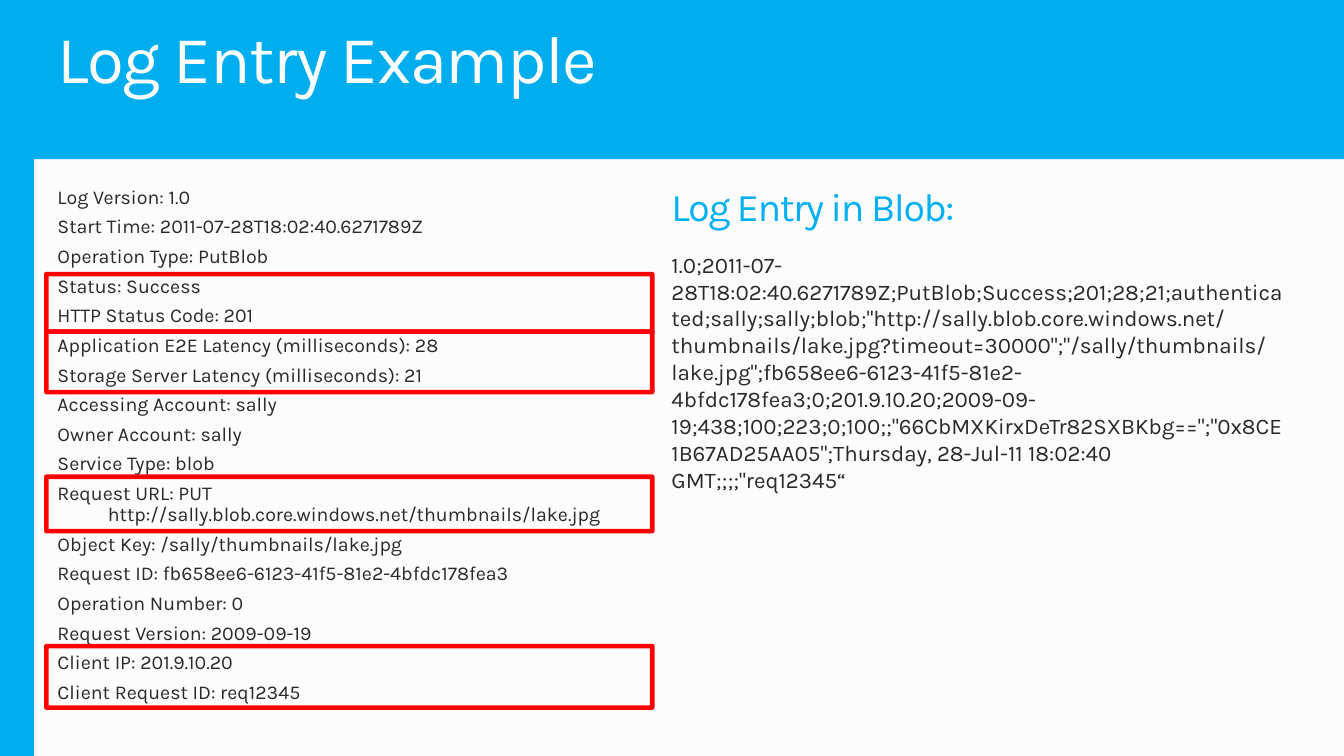
from lxml import etree
from pptx import Presentation
from pptx.dml.color import RGBColor
from pptx.enum.shapes import MSO_SHAPE
from pptx.enum.text import MSO_ANCHOR, MSO_AUTO_SIZE
from pptx.oxml.ns import qn
from pptx.util import Inches, Pt

RECTANGLE = MSO_SHAPE.RECTANGLE
TOP = MSO_ANCHOR.TOP
GROW = MSO_AUTO_SIZE.SHAPE_TO_FIT_TEXT

BACKGROUND = RGBColor(0xFC, 0xFC, 0xFC)
BAND = RGBColor(0x00, 0xAE, 0xEF)
HEADING = RGBColor(0x00, 0xB0, 0xF0)
WHITE = RGBColor(0xFF, 0xFF, 0xFF)
DARK = RGBColor(0x29, 0x29, 0x29)
RED = RGBColor(0xFF, 0x00, 0x00)
FONT = "Karla"

TITLE = "Log Entry Example"
LOG_FIELDS = [
    "Log Version: 1.0",
    "Start Time: 2011-07-28T18:02:40.6271789Z",
    "Operation Type: PutBlob",
    "Status: Success",
    "HTTP Status Code: 201",
    "Application E2E Latency (milliseconds): 28",
    "Storage Server Latency (milliseconds): 21",
    "Accessing Account: sally",
    "Owner Account: sally",
    "Service Type: blob",
    "Request URL: PUT http://sally.blob.core.windows.net/thumbnails/lake.jpg",
    "Object Key: /sally/thumbnails/lake.jpg",
    "Request ID: fb658ee6-6123-41f5-81e2-4bfdc178fea3",
    "Operation Number: 0",
    "Request Version: 2009-09-19",
    "Client IP: 201.9.10.20",
    "Client Request ID: req12345",
]
BLOB_HEADING = "Log Entry in Blob:"
BLOB_ENTRY = (
    '1.0;2011-07-28T18:02:40.6271789Z;PutBlob;Success;201;28;21;authenticated;'
    'sally;sally;blob;"http://sally.blob.core.windows.net/thumbnails/lake.jpg'
    '?timeout=30000";"/sally/thumbnails/lake.jpg";'
    'fb658ee6-6123-41f5-81e2-4bfdc178fea3;0;201.9.10.20;2009-09-19;438;100;223;'
    '0;100;;"66CbMXKirxDeTr82SXBKbg==";"0x8CE1B67AD25AA05";'
    'Thursday, 28-Jul-11 18:02:40 GMT;;;;"req12345“'
)

WIDTH, HEIGHT = 13.33, 7.5
BANDS = [(0.34, HEIGHT), (WIDTH, 1.58)]
HIGHLIGHTS = [(2.72, 0.57), (3.29, 0.6), (4.73, 0.54), (6.41, 0.61)]
HIGHLIGHT_LEFT, HIGHLIGHT_WIDTH = 0.46, 6.01

TITLE_STYLE = {"size": 48, "color": WHITE, "tracking": -1, "format": {"line_spacing": 0.9}}
FIELD_STYLE = {"size": 14, "color": DARK, "indent": 0.5,
               "format": {"line_spacing": 0.9, "space_before": Pt(6)}}
HEADING_STYLE = {"size": 28, "color": HEADING, "tracking": -1,
                 "format": {"line_spacing": 0.9, "space_after": Pt(9)}}
ENTRY_STYLE = {"size": 16, "color": DARK, "format": {"space_before": Pt(6)}}

TEXT_BOXES = [
    ((0.57, 0.25, 12.19, 0.73), [(TITLE, TITLE_STYLE)]),
    ((0.57, 1.86, 6.1, 5.16), [(field, FIELD_STYLE) for field in LOG_FIELDS]),
    ((6.66, 1.86, 6.1, 3.19), [(BLOB_HEADING, HEADING_STYLE), (BLOB_ENTRY, ENTRY_STYLE)]),
]
FRAME_FORMAT = {"margin_left": 0, "margin_top": 0, "margin_right": 0, "margin_bottom": 0,
                "word_wrap": True, "auto_size": GROW, "vertical_anchor": TOP}


def set_attributes(target, values):
    for name, value in values.items():
        setattr(target, name, value)


def add_rectangle(slide, *box):
    shape = slide.shapes.add_shape(RECTANGLE, *map(Inches, box))
    shape.shadow.inherit = False
    return shape


def add_band(slide, width, height):
    shape = add_rectangle(slide, 0, 0, width, height)
    shape.fill.solid()
    shape.fill.fore_color.rgb = BAND
    shape.line.fill.background()


def add_highlight(slide, top, height):
    shape = add_rectangle(slide, HIGHLIGHT_LEFT, top, HIGHLIGHT_WIDTH, height)
    shape.fill.background()
    shape.line.color.rgb = RED
    shape.line.width = Pt(3.25)
    color = shape.line._ln.find(f"{qn('a:solidFill')}/{qn('a:srgbClr')}")
    etree.SubElement(color, qn("a:alpha")).set("val", "98000")


def add_text(slide, box, lines):
    frame = slide.shapes.add_textbox(*map(Inches, box)).text_frame
    set_attributes(frame, FRAME_FORMAT)
    for index, (text, style) in enumerate(lines):
        paragraph = frame.add_paragraph() if index else frame.paragraphs[0]
        set_attributes(paragraph, style["format"])
        if index == 0:
            paragraph.space_before = Pt(0)
        if "indent" in style:
            properties = paragraph._p.get_or_add_pPr()
            properties.set("marL", str(Inches(style["indent"])))
            properties.set("indent", str(-Inches(style["indent"])))
        run = paragraph.add_run()
        run.text = text
        set_attributes(run.font, {"name": FONT, "size": Pt(style["size"])})
        run.font.color.rgb = style["color"]
        if "tracking" in style:
            run._r.get_or_add_rPr().set("spc", str(style["tracking"] * 100))


def main():
    presentation = Presentation()
    presentation.slide_width = Inches(WIDTH)
    presentation.slide_height = Inches(HEIGHT)
    slide = presentation.slides.add_slide(presentation.slide_layouts[6])
    slide.background.fill.solid()
    slide.background.fill.fore_color.rgb = BACKGROUND
    for band in BANDS:
        add_band(slide, *band)
    for box, lines in TEXT_BOXES:
        add_text(slide, box, lines)
    for highlight in HIGHLIGHTS:
        add_highlight(slide, *highlight)
    presentation.save("out.pptx")


if __name__ == "__main__":
    main()
